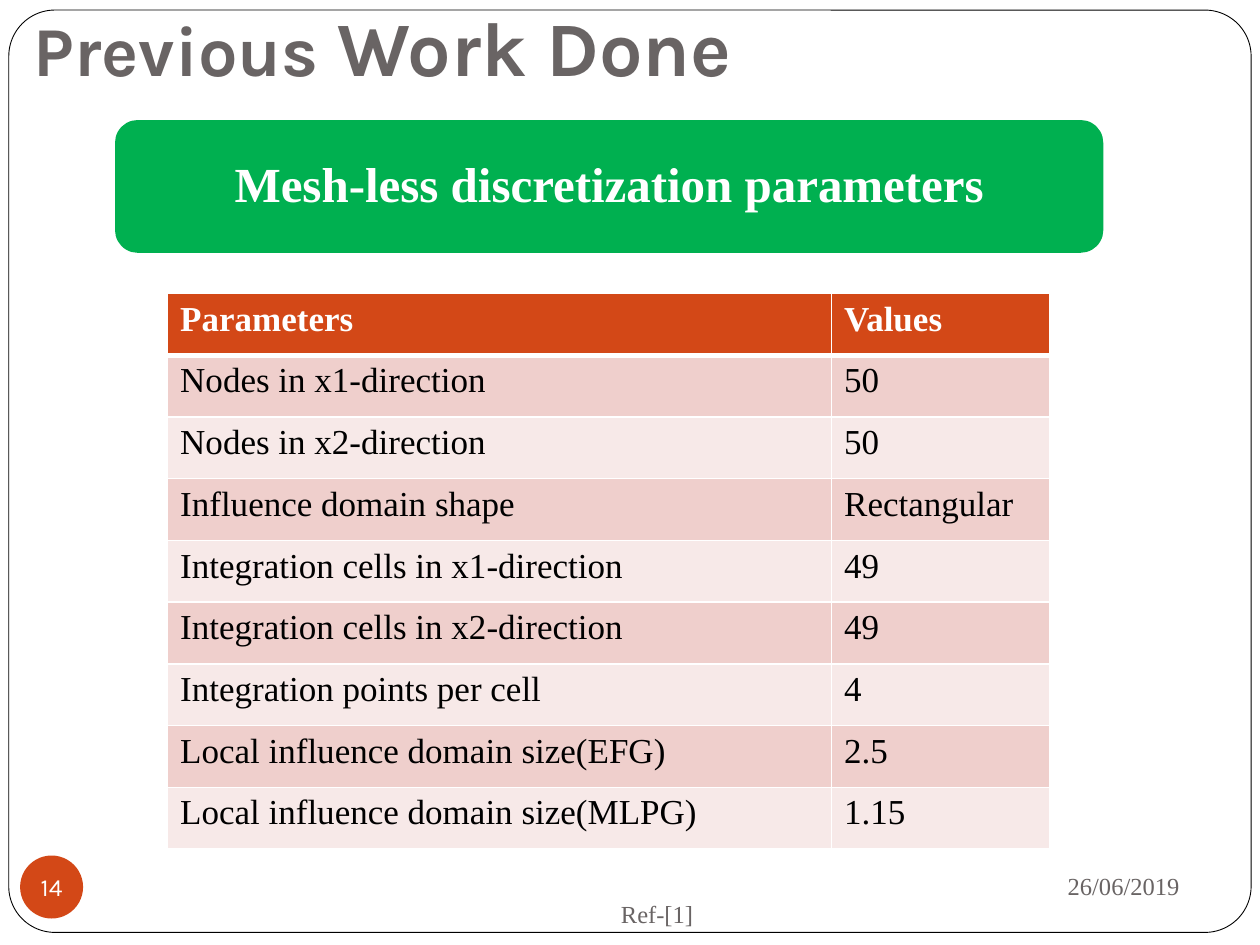
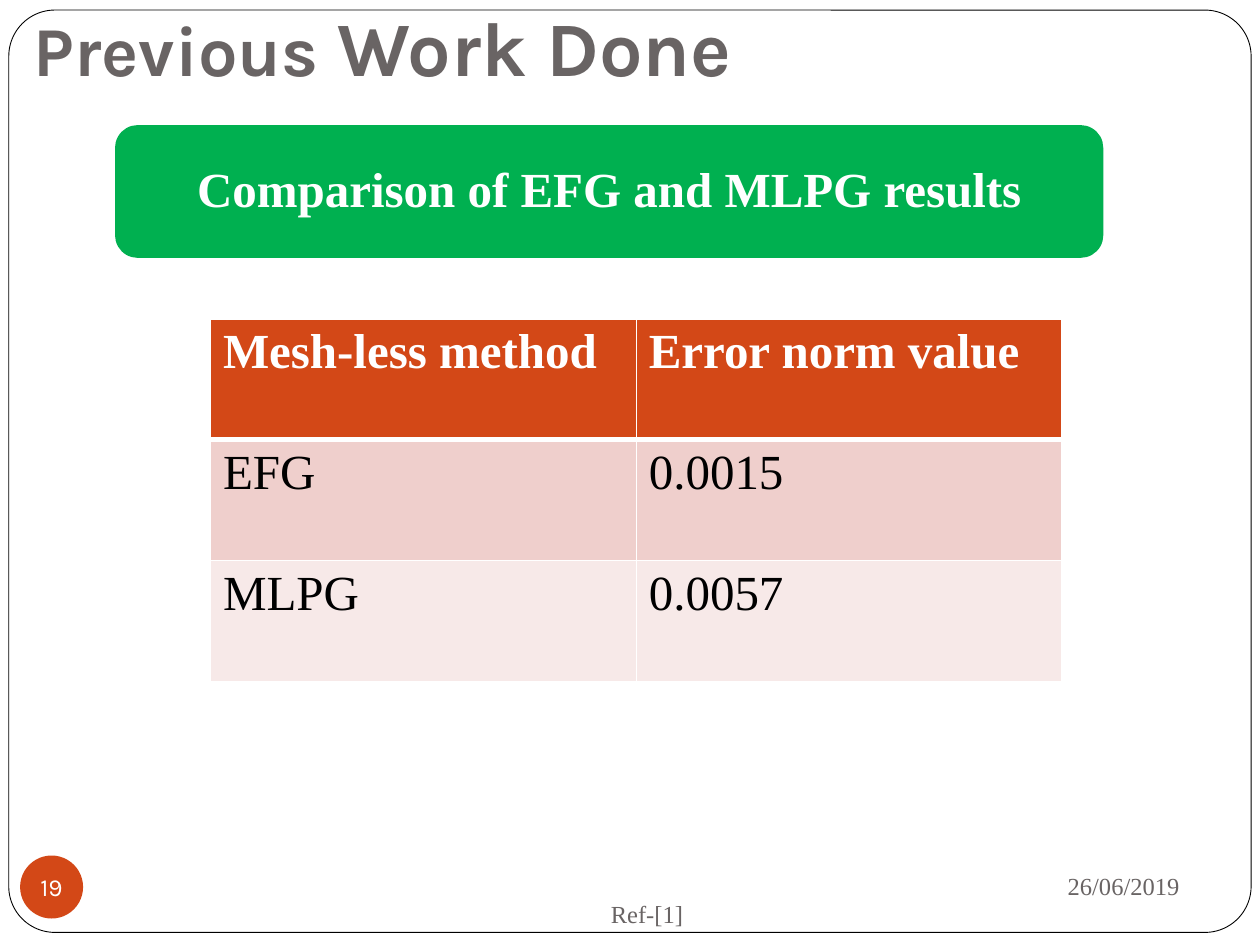
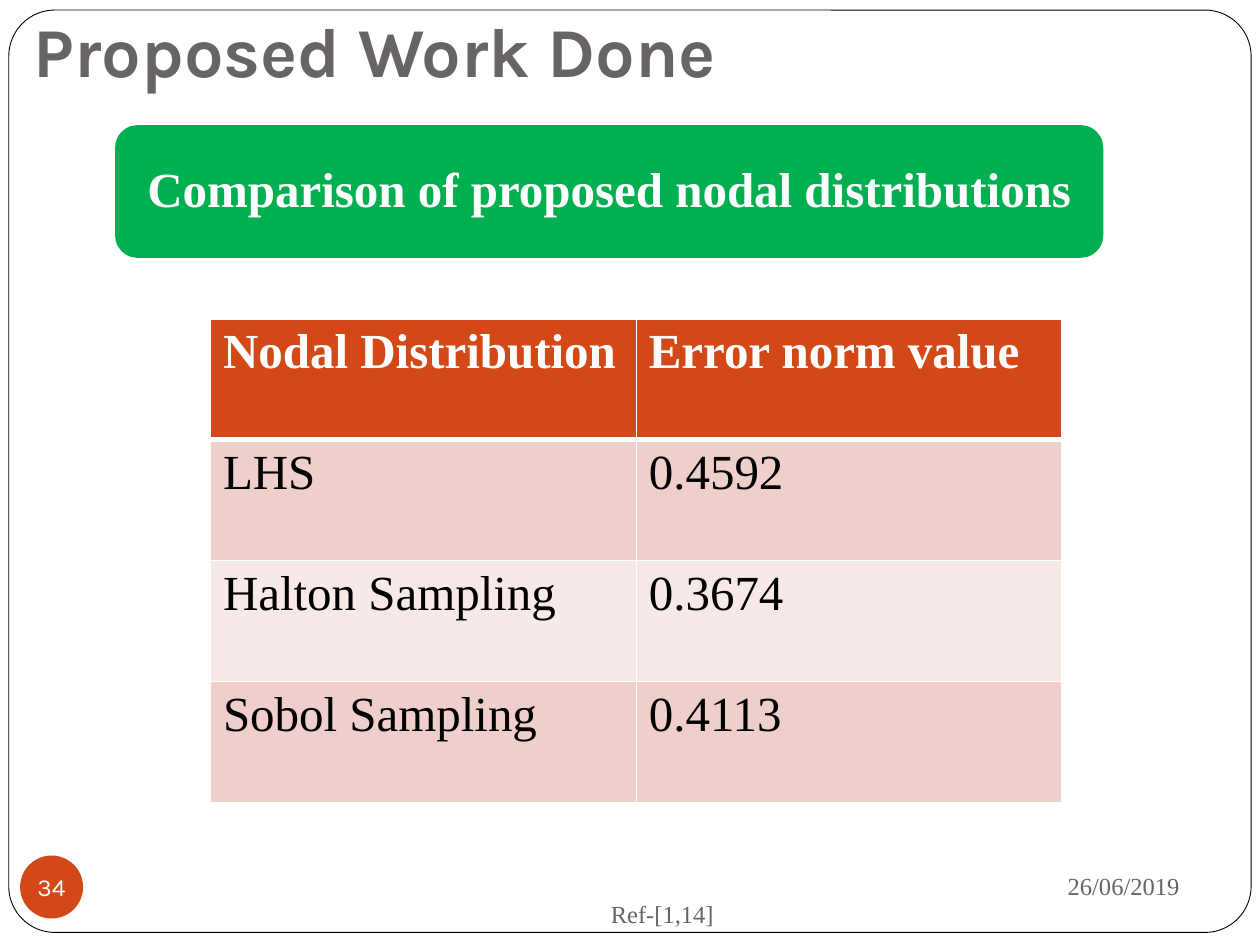
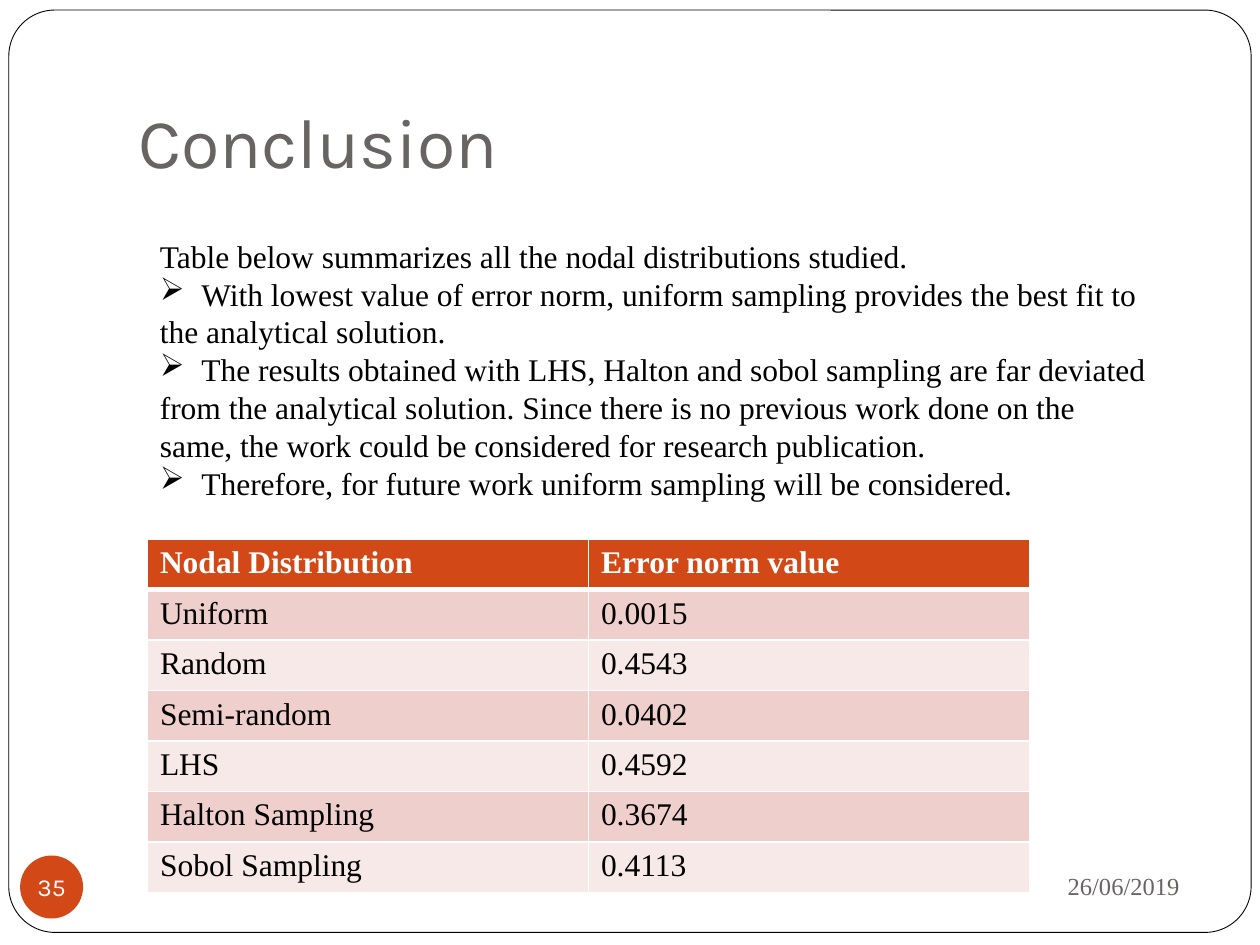
import pptx
import pptx.dml.color
import pptx.enum.shapes
import pptx.enum.text
import pptx.oxml.ns
import pptx.util
from lxml import etree

Inches = pptx.util.Inches
Pt = pptx.util.Pt
SHAPES = pptx.enum.shapes.MSO_SHAPE
ALIGN = pptx.enum.text.PP_ALIGN
ANCHOR = pptx.enum.text.MSO_ANCHOR
qn = pptx.oxml.ns.qn

COLORS = {
    "white": "FFFFFF",
    "black": "000000",
    "gray": "696464",
    "accent": "D34817",
    "banner": "00B050",
    "band_dark": "EFCFCC",
    "band_light": "F7E9E8",
}
HEADING_FONT = "Karla"
BODY_FONT = "Times New Roman"
DATE = "26/06/2019"


def color(name):
    return pptx.dml.color.RGBColor.from_string(COLORS[name])


def write_text(paragraph, text, size=14, font=BODY_FONT, ink="gray", bold=False,
               align=None, line_spacing=None):
    """Append one formatted run to a paragraph."""
    if align is not None:
        paragraph.alignment = align
    if line_spacing is not None:
        paragraph.line_spacing = line_spacing
    run = paragraph.add_run()
    run.text = text
    run.font.size = Pt(size)
    run.font.name = font
    run.font.bold = bold
    run.font.color.rgb = color(ink)


def add_bullet(paragraph, character, gap):
    """Bullet on the first line only; wrapped lines return to the margin."""
    properties = paragraph._p.get_or_add_pPr()
    properties.set("marL", "0")
    properties.set("indent", "0")
    etree.SubElement(properties, qn("a:buChar"), char=character)
    tabs = etree.SubElement(properties, qn("a:tabLst"))
    etree.SubElement(tabs, qn("a:tab"), pos=str(Inches(gap)), algn="l")


def add_borders(cell, top, bottom):
    properties = cell._tc.get_or_add_tcPr()
    for side, width in (("L", 1), ("R", 1), ("T", top), ("B", bottom)):
        line = etree.SubElement(properties, qn(f"a:ln{side}"), w=str(Pt(width)))
        fill = etree.SubElement(line, qn("a:solidFill"))
        etree.SubElement(fill, qn("a:srgbClr"), val=COLORS["white"])


class Deck:
    def __init__(self):
        self.presentation = pptx.Presentation()
        self.presentation.slide_width = Inches(10)
        self.presentation.slide_height = Inches(7.5)
        self.slide = None

    def shape(self, kind, box, fill, line=None, line_width=1):
        shape = self.slide.shapes.add_shape(kind, *map(Inches, box))
        shape.shadow.inherit = False
        shape.fill.solid()
        shape.fill.fore_color.rgb = color(fill)
        if line:
            shape.line.color.rgb = color(line)
            shape.line.width = Pt(line_width)
        else:
            shape.line.fill.background()
        return shape

    def text_box(self, box, anchor=ANCHOR.MIDDLE):
        frame = self.slide.shapes.add_textbox(*map(Inches, box)).text_frame
        frame.word_wrap = True
        frame.vertical_anchor = anchor
        return frame

    def new_slide(self, number):
        """Start a slide with the rounded frame, number disc and date."""
        self.slide = self.presentation.slides.add_slide(self.presentation.slide_layouts[6])
        border = self.shape(SHAPES.ROUNDED_RECTANGLE, (0.07, 0.08, 9.86, 7.32),
                            "white", "black", 0.5)
        border.adjustments[0] = 0.05
        disc = self.shape(SHAPES.OVAL, (0.16, 6.79, 0.5, 0.5), "accent").text_frame
        disc.margin_left = disc.margin_right = disc.margin_top = disc.margin_bottom = 0
        disc.word_wrap = False
        disc.vertical_anchor = ANCHOR.MIDDLE
        write_text(disc.paragraphs[0], str(number), font=HEADING_FONT, ink="white",
                   align=ALIGN.CENTER)
        date = self.text_box((6.75, 6.77, 2.71, 0.52))
        write_text(date.paragraphs[0], DATE, align=ALIGN.RIGHT)

    def title(self, *runs, left=0.17, top=-0.42, bold=True):
        frame = self.text_box((left, top, 8.5, 1.25), ANCHOR.BOTTOM)
        frame.margin_bottom = Inches(0.1)
        for text, size in runs:
            write_text(frame.paragraphs[0], text, size=size, font=HEADING_FONT, bold=bold)

    def banner(self, text, top=1):
        shape = self.shape(SHAPES.FLOWCHART_ALTERNATE_PROCESS, (0.92, top, 7.83, 1.04),
                           "banner", "banner")
        frame = shape.text_frame
        frame.margin_left = frame.margin_right = Inches(0.1)
        frame.word_wrap = True
        frame.vertical_anchor = ANCHOR.MIDDLE
        write_text(frame.paragraphs[0], text, size=28, ink="white", bold=True,
                   align=ALIGN.CENTER, line_spacing=0.9)

    def table(self, rows, left, top, widths, row_height, size):
        table = self.slide.shapes.add_table(
            len(rows), len(widths), Inches(left), Inches(top),
            Inches(sum(widths)), Inches(row_height * len(rows))).table
        for column, width in zip(table.columns, widths):
            column.width = Inches(width)
        for r, values in enumerate(rows):
            header = r == 0
            fill = "accent" if header else "band_dark" if r % 2 else "band_light"
            for c, value in enumerate(values):
                cell = table.cell(r, c)
                add_borders(cell, top=3 if r == 1 else 1, bottom=3 if header else 1)
                cell.fill.solid()
                cell.fill.fore_color.rgb = color(fill)
                write_text(cell.text_frame.paragraphs[0], value, size=size, bold=header,
                           ink="white" if header else "black")

    def reference(self, text, left=4.75):
        write_text(self.text_box((left, 7, 4.33, 0.5)).paragraphs[0], text)

    def summary(self, intro, points, box):
        frame = self.text_box(box, ANCHOR.TOP)
        frame.auto_size = pptx.enum.text.MSO_AUTO_SIZE.SHAPE_TO_FIT_TEXT
        write_text(frame.paragraphs[0], intro, size=18, ink="black")
        for point in points:
            paragraph = frame.add_paragraph()
            add_bullet(paragraph, "➢", 0.33)
            write_text(paragraph, "\t" + point, size=18, ink="black")


def main():
    deck = Deck()
    previous_work = (("Previous", 40), (" Work Done", 44))
    error_header = ("Nodal Distribution", "Error norm value")
    sampling_errors = [
        ("LHS", "0.4592"),
        ("Halton Sampling", "0.3674"),
        ("Sobol Sampling", "0.4113"),
    ]
    comparison = dict(left=1.67, top=2.53, widths=(3.38, 3.38), row_height=0.96, size=28)

    # Discretization parameters
    deck.new_slide(14)
    deck.title(*previous_work)
    deck.banner("Mesh-less discretization parameters", top=0.96)
    deck.table([
        ("Parameters", "Values"),
        ("Nodes in x1-direction", "50"),
        ("Nodes in x2-direction", "50"),
        ("Influence domain shape", "Rectangular"),
        ("Integration cells in x1-direction", "49"),
        ("Integration cells in x2-direction", "49"),
        ("Integration points per cell", "4"),
        ("Local influence domain size(EFG)", "2.5"),
        ("Local influence domain size(MLPG)", "1.15"),
    ], left=1.33, top=2.33, widths=(5.27, 1.73), row_height=0.49, size=20)
    deck.reference("Ref-[1]", left=4.83)

    # EFG against MLPG
    deck.new_slide(19)
    deck.title(*previous_work)
    deck.banner("Comparison of EFG and MLPG results")
    deck.table([
        ("Mesh-less method", "Error norm value"),
        ("EFG", "0.0015"),
        ("MLPG", "0.0057"),
    ], **comparison)
    deck.reference("Ref-[1]")

    # Proposed nodal distributions
    deck.new_slide(34)
    deck.title(("Proposed Work Done", 40))
    deck.banner("Comparison of proposed nodal distributions")
    deck.table([error_header, *sampling_errors], **comparison)
    deck.reference("Ref-[1,14]")

    # Conclusion
    deck.new_slide(35)
    deck.title(("Conclusion", 40), left=1, top=0.3, bold=False)
    deck.table([
        error_header,
        ("Uniform", "0.0015"),
        ("Random", "0.4543"),
        ("Semi-random", "0.0402"),
        *sampling_errors,
    ], left=1.17, top=4.28, widths=(3.5, 3.5), row_height=0.38, size=18)
    deck.summary(
        "Table below summarizes all the nodal distributions studied.",
        [
            "With lowest value of error norm, uniform sampling provides the best fit to "
            "the analytical solution.",
            "The results obtained with LHS, Halton and sobol sampling are far deviated "
            "from the analytical solution. Since there is no previous work done on the "
            "same, the work could be considered for research publication.",
            "Therefore, for future work uniform sampling will be considered.",
        ], (1.17, 1.83, 8.08, 2.52))

    deck.presentation.save("out.pptx")


if __name__ == "__main__":
    main()
